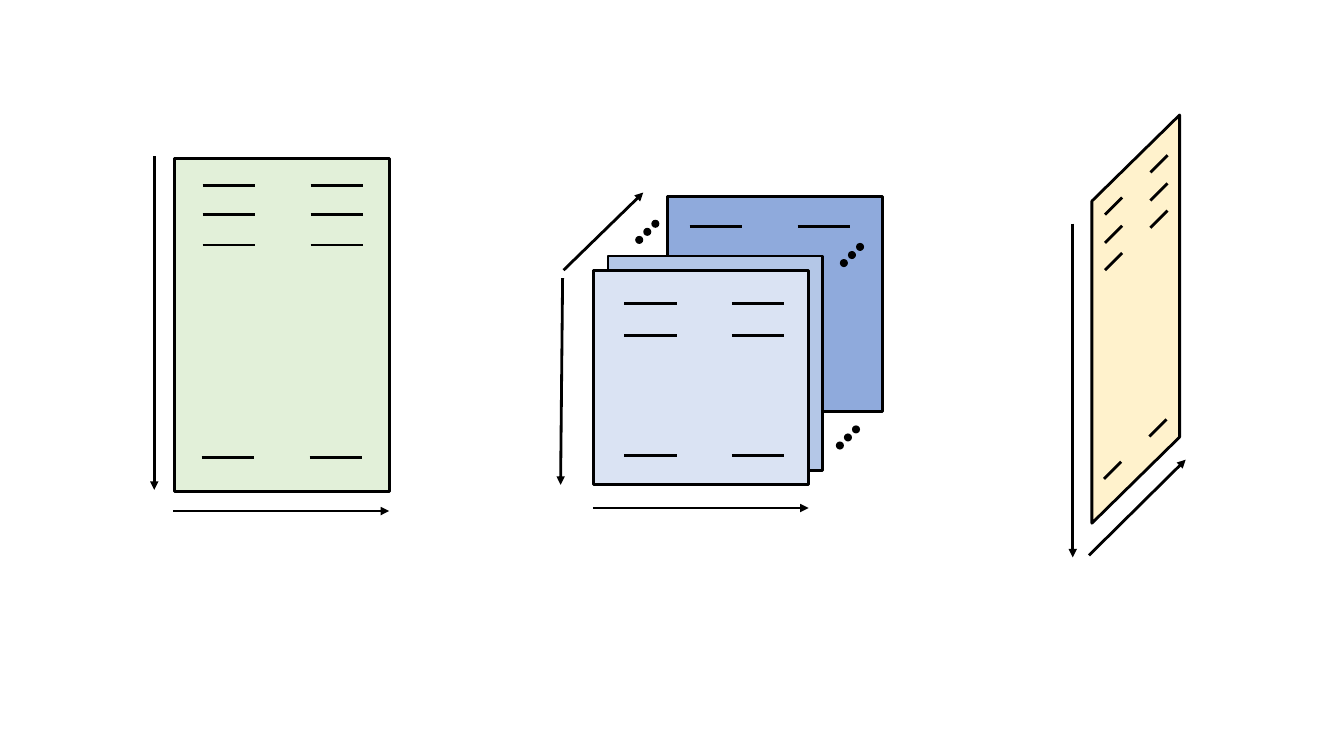
from lxml import etree
from pptx import Presentation
from pptx.dml.color import RGBColor
from pptx.enum import shapes
from pptx.oxml import ns
from pptx.util import Inches, Pt

BLACK = RGBColor(0x00, 0x00, 0x00)
GREEN = RGBColor(0xE2, 0xF0, 0xD9)
YELLOW = RGBColor(0xFF, 0xF2, 0xCC)
BLUE_FRONT = RGBColor(0xDA, 0xE3, 0xF3)
BLUE_MIDDLE = RGBColor(0xB4, 0xC7, 0xE7)
BLUE_BACK = RGBColor(0x8F, 0xAA, 0xDC)

SHAPE = shapes.MSO_SHAPE
DASH = 0.52
SLANT = 0.17
DOT = 0.08


class Sketch:
    """Draws outlined sheets, dashes, dots and arrows in the current group."""

    stroke = {"width": Pt(2)}

    def __init__(self, slide):
        self.slide = slide
        self.new_group()

    def new_group(self):
        self.shapes = self.slide.shapes.add_group_shape().shapes

    def outline(self, line):
        line.color.rgb = BLACK
        for name, value in self.stroke.items():
            setattr(line, name, value)

    def shape(self, kind, x, y, w, h, fill):
        sp = self.shapes.add_shape(kind, Inches(x), Inches(y), Inches(w), Inches(h))
        sp.shadow.inherit = False
        sp.fill.solid()
        sp.fill.fore_color.rgb = fill
        return sp

    def sheet(self, x, y, w, h, fill, kind=SHAPE.RECTANGLE):
        sp = self.shape(kind, x, y, w, h, fill)
        self.outline(sp.line)
        return sp

    def dots(self, x, y):
        """Three dots rising to the right from the lower left one."""
        for i in range(3):
            sp = self.shape(SHAPE.OVAL, x + i * DOT, y - i * DOT, DOT, DOT, BLACK)
            sp.line.fill.background()

    def line(self, x1, y1, x2, y2):
        c = self.shapes.add_connector(
            shapes.MSO_CONNECTOR.STRAIGHT, Inches(x1), Inches(y1), Inches(x2), Inches(y2))
        self.outline(c.line)
        etree.SubElement(c._element.spPr, ns.qn("a:effectLst"))
        return c

    def arrow(self, x1, y1, x2, y2):
        ln = self.line(x1, y1, x2, y2).line._get_or_add_ln()
        etree.SubElement(ln, ns.qn("a:tailEnd"), type="triangle")

    def dash_pair(self, x, y):
        for left in (x, x + 1.07):
            self.line(left, y, left + DASH, y)

    def slanted_pair(self, x, y):
        """Two slanted dashes; x and y are the lower left end of the left one."""
        for left, bottom in ((x, y), (x + 0.45, y - 0.42)):
            self.line(left, bottom, left + SLANT, bottom - SLANT)


def draw_stack(sk):
    side = 2.13
    for x, y, fill in ((6.62, 1.95, BLUE_BACK), (6.03, 2.54, BLUE_MIDDLE),
                       (5.89, 2.68, BLUE_FRONT)):
        sk.sheet(x, y, side, side, fill)
    for x, y in ((8.33, 2.57), (6.3, 2.34), (8.29, 4.38)):
        sk.dots(x, y)
    for y in (3.01, 3.33, 4.52):
        sk.dash_pair(6.19, y)
    sk.dash_pair(6.84, 2.25)
    sk.arrow(5.59, 2.68, 6.38, 1.91)
    sk.arrow(5.58, 2.76, 5.56, 4.81)
    sk.arrow(5.88, 5.04, 8.02, 5.04)


def draw_front_sheet(sk):
    sk.new_group()
    sk.sheet(1.73, 1.57, 2.13, 3.31, GREEN)
    for x, y in ((2.01, 1.84), (2.01, 2.13), (2.01, 2.43), (2, 4.54)):
        sk.dash_pair(x, y)
    sk.arrow(1.72, 5.07, 3.86, 5.07)
    sk.arrow(1.53, 1.55, 1.53, 4.86)


def draw_side_sheet(sk):
    sk.new_group()
    sp = sk.sheet(9.24, 2.73, 4.05, 0.87, YELLOW, SHAPE.PARALLELOGRAM)
    sp.adjustments[0] = 0.982
    sp.rotation = 90
    sp._element.spPr.xfrm.set("flipV", "1")
    for x, y in ((10.96, 2.13), (10.96, 2.41), (10.96, 2.68), (10.95, 4.75)):
        sk.slanted_pair(x, y)
    sk.arrow(10.8, 5.51, 11.76, 4.56)
    sk.arrow(10.64, 2.22, 10.64, 5.53)


def main():
    prs = Presentation()
    prs.slide_width, prs.slide_height = Inches(13.33), Inches(7.5)
    sk = Sketch(prs.slides.add_slide(prs.slide_layouts[6]))
    draw_stack(sk)
    draw_front_sheet(sk)
    draw_side_sheet(sk)
    prs.save("out.pptx")


if __name__ == "__main__":
    main()
